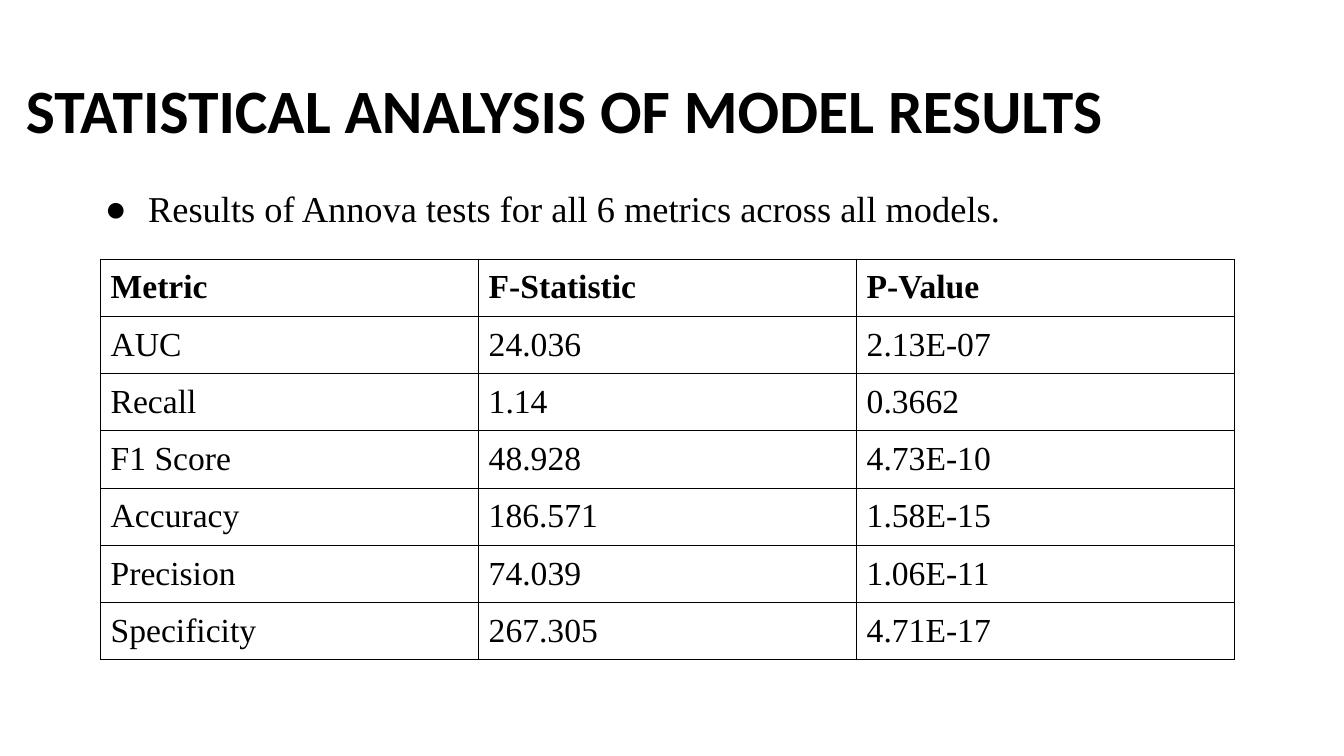
from lxml import etree
from pptx import Presentation
from pptx import util as u
from pptx.dml.color import RGBColor
from pptx.enum import text
from pptx.oxml import ns

BLACK = RGBColor(0x00, 0x00, 0x00)
SERIF = "Times New Roman"
TITLE_FONT = {"name": "Calibri", "size": u.Pt(44), "bold": True}
BODY_FONT = {"name": SERIF, "size": u.Pt(26), "bold": False}
HEAD_FONT = {"name": SERIF, "size": u.Pt(24), "bold": True}
CELL_FONT = {**HEAD_FONT, "bold": False}

RESULTS = [
    ("Metric", "F-Statistic", "P-Value"),
    ("AUC", "24.036", "2.13E-07"),
    ("Recall", "1.14", "0.3662"),
    ("F1 Score", "48.928", "4.73E-10"),
    ("Accuracy", "186.571", "1.58E-15"),
    ("Precision", "74.039", "1.06E-11"),
    ("Specificity", "267.305", "4.71E-17"),
]


def set_format(obj, values):
    """Set each attribute of obj named in values."""
    for name, value in values.items():
        setattr(obj, name, value)


def add_run(p, words, font):
    """Add a black run with the given font values."""
    r = p.add_run()
    r.text = words
    set_format(r.font, font)
    r.font.color.rgb = BLACK


def fill_placeholder(sp, box, words, font, anchor, para):
    """Move a placeholder to its box and write one paragraph in it."""
    set_format(sp, dict(zip(("left", "top", "width", "height"), box)))
    tf = sp.text_frame
    set_format(tf, {"word_wrap": True, "auto_size": text.MSO_AUTO_SIZE.NONE,
                    "vertical_anchor": anchor})
    p = tf.paragraphs[0]
    set_format(p, {"alignment": text.PP_ALIGN.LEFT, "line_spacing": 0.9, **para})
    add_run(p, words, font)
    return p


def add_title(s, box):
    """Write the slide title."""
    fill_placeholder(s.shapes.title, box, "STATISTICAL ANALYSIS OF MODEL RESULTS",
                     TITLE_FONT, text.MSO_ANCHOR.MIDDLE, {})


def add_body(s, box):
    """Write the bulleted line above the table."""
    p = fill_placeholder(
        s.placeholders[1], box,
        "Results of Annova tests for all 6 metrics across all models.",
        BODY_FONT, text.MSO_ANCHOR.TOP, {"space_before": u.Pt(10)})
    pPr = p._p.get_or_add_pPr()
    pPr.set("marL", str(u.Cm(1.27)))
    pPr.set("indent", str(u.Cm(-1.09)))
    color = etree.SubElement(pPr, ns.qn("a:buClr"))
    etree.SubElement(color, ns.qn("a:srgbClr"), val=str(BLACK))
    etree.SubElement(pPr, ns.qn("a:buFont"), typeface=SERIF)
    etree.SubElement(pPr, ns.qn("a:buChar"), char="●")


def add_borders(cell):
    """Draw a thin black line on every side of a cell."""
    tcPr = cell._tc.get_or_add_tcPr()
    for side in "LRTB":
        line = etree.SubElement(tcPr, ns.qn(f"a:ln{side}"), w=str(u.Pt(0.75)))
        fill = etree.SubElement(line, ns.qn("a:solidFill"))
        etree.SubElement(fill, ns.qn("a:srgbClr"), val=str(BLACK))


def add_results(s, box):
    """Build the results table with equal rows and columns."""
    table = s.shapes.add_table(len(RESULTS), len(RESULTS[0]), *box).table
    set_format(table, {"first_row": False, "horz_banding": False})
    margins = {f"margin_{side}": u.Cm(0.25)
               for side in ("left", "right", "top", "bottom")}
    for i, row in enumerate(RESULTS):
        for j, words in enumerate(row):
            cell = table.cell(i, j)
            set_format(cell, margins)
            add_borders(cell)
            cell.fill.background()
            add_run(cell.text_frame.paragraphs[0], words,
                    CELL_FONT if i else HEAD_FONT)


def main():
    """Build and save the slide."""
    prs = Presentation()
    set_format(prs, {"slide_width": u.Cm(33.87), "slide_height": u.Cm(19.05)})
    s = prs.slides.add_slide(prs.slide_layouts[1])
    add_title(s, (u.Cm(0.4), u.Cm(1.02), u.Cm(33.47), u.Cm(3.68)))
    add_body(s, (u.Cm(2.21), u.Cm(4.7), u.Cm(29.21), u.Cm(12.09)))
    add_results(s, (u.Cm(2.54), u.Cm(6.53), u.Cm(28.58), u.Cm(10.1)))
    prs.save("out.pptx")


if __name__ == "__main__":
    main()
